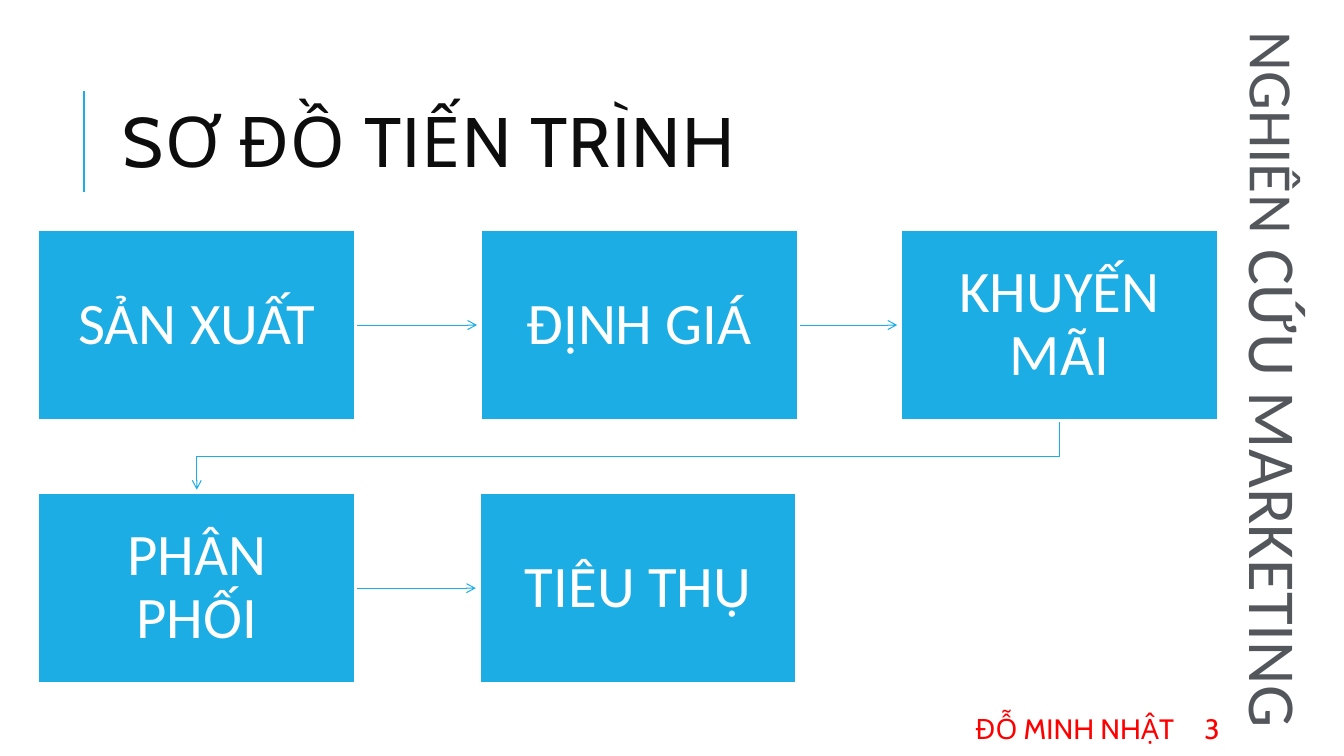
from dataclasses import dataclass
from itertools import pairwise

from lxml.etree import SubElement as Sub
from pptx import Presentation as Deck
from pptx.dml.color import RGBColor as Rgb
from pptx.enum.shapes import MSO_CONNECTOR as Link, MSO_SHAPE as Shape
from pptx.enum.text import MSO_ANCHOR as Anchor, MSO_AUTO_SIZE as Fit, PP_ALIGN as Align
from pptx.oxml.ns import qn
from pptx.util import Cm, Pt


@dataclass(frozen=True)
class Theme:
    blue: Rgb = Rgb(0x1C, 0xAD, 0xE4)
    white: Rgb = Rgb(0xFF, 0xFF, 0xFF)
    black: Rgb = Rgb(0x0D, 0x0D, 0x0D)
    gray: Rgb = Rgb(0x53, 0x57, 0x5C)
    red: Rgb = Rgb(0xFF, 0, 0)
    head: str = "Cabin"
    body: str = "Calibri"
    title: float = 50
    step: float = 42
    side: float = 48
    lead: float = 44
    foot: float = 20


@dataclass(frozen=True)
class Step:
    text: str
    left: float
    top: float

    @property
    def right(self) -> float:
        return self.left + WIDE

    @property
    def mid(self) -> float:
        return self.left + WIDE / 2

    @property
    def low(self) -> float:
        return self.top + HIGH


@dataclass(frozen=True)
class Label:
    text: str
    left: float
    width: float
    align: Align


LOOK = Theme()
WIDE, HIGH = 7.98, 4.8
TOP, LOW = 5.79, 12.42
INSET = 0.84
ROWS = (
    (Step("SẢN XUẤT", 0.97, TOP), Step("ĐỊNH GIÁ", 12.12, TOP), Step("KHUYẾN MÃI", 22.71, TOP)),
    (Step("PHÂN PHỐI", 0.97, LOW), Step("TIÊU THỤ", 12.09, LOW)),
)
FOOT = (
    Label("ĐỖ MINH NHẬT", 13.46, 16.38, Align.RIGHT),
    Label("3", 30.1, 2.69, Align.LEFT),
)


def apply(item: object, form: dict) -> None:
    for key, val in form.items():
        setattr(item, key, val)


def write(para, text: str, name: str, size: float, tint: Rgb):
    run = para.add_run()
    run.text = text
    apply(run.font, {"name": name, "size": Pt(size)})
    run.font.color.rgb = tint
    return run


def stroke(item, width: float, arrow: bool) -> None:
    item.line.color.rgb = LOOK.blue
    item.line.width = Pt(width)
    if arrow:
        Sub(item.line._get_or_add_ln(), qn("a:tailEnd"), type="arrow")


def link(page, start: tuple, end: tuple, width: float = 0.75, arrow: bool = True) -> None:
    line = page.shapes.add_connector(Link.STRAIGHT, *map(Cm, start + end))
    stroke(line, width, arrow)
    Sub(line._element.spPr, qn("a:effectLst"))


def bend(page, last: Step, first: Step) -> None:
    turn = (last.low + first.top) / 2
    path = page.shapes.build_freeform(Cm(last.mid), Cm(last.low + 0.05))
    spots = ((last.mid, turn), (first.mid, turn), (first.mid, first.top - 0.08))
    path.add_line_segments([(Cm(x), Cm(y)) for x, y in spots], close=False)
    line = path.convert_to_shape()
    line.fill.background()
    line.shadow.inherit = False
    stroke(line, 0.75, True)


def draw(page, step: Step) -> None:
    box = page.shapes.add_shape(Shape.RECTANGLE, *map(Cm, (step.left, step.top, WIDE, HIGH)))
    box.shadow.inherit = False
    box.fill.solid()
    box.fill.fore_color.rgb = LOOK.blue
    box.line.color.rgb = LOOK.white
    box.line.width = Pt(1.25)
    edge = {f"margin_{side}": Cm(INSET) for side in ("left", "right", "top", "bottom")}
    apply(box.text_frame, {**edge, "word_wrap": True, "vertical_anchor": Anchor.MIDDLE})
    para = box.text_frame.paragraphs[0]
    apply(para, {"alignment": Align.CENTER, "line_spacing": 0.9})
    write(para, step.text, LOOK.body, LOOK.step, LOOK.white)


def head(page) -> None:
    title = page.shapes.title
    spot = {"left": 2.84, "top": 1.63, "width": 27, "height": 4.17}
    apply(title, {key: Cm(val) for key, val in spot.items()})
    apply(title.text_frame, {"word_wrap": True, "auto_size": Fit.NONE, "vertical_anchor": Anchor.MIDDLE})
    para = title.text_frame.paragraphs[0]
    apply(para, {"alignment": Align.LEFT, "line_spacing": 0.8})
    run = write(para, "SƠ ĐỒ TIẾN TRÌNH", LOOK.head, LOOK.title, LOOK.black)
    run.font._element.set("spc", "100")


def banner(page) -> None:
    box = page.shapes.add_textbox(*map(Cm, (22.66, 8.41, 19, 2.31)))
    box.rotation = 90
    apply(box.text_frame, {"word_wrap": False, "auto_size": Fit.SHAPE_TO_FIT_TEXT})
    para = box.text_frame.paragraphs[0]
    para.alignment = Align.CENTER
    write(para, "NGHIÊN", LOOK.body, LOOK.lead, LOOK.gray)
    write(para, " CỨU MARKETING", LOOK.body, LOOK.side, LOOK.gray)


def note(page, label: Label) -> None:
    box = page.shapes.add_textbox(*map(Cm, (label.left, 17.98, label.width, 0.76)))
    apply(box.text_frame, {"word_wrap": True, "vertical_anchor": Anchor.MIDDLE})
    para = box.text_frame.paragraphs[0]
    para.alignment = label.align
    write(para, label.text, LOOK.head, LOOK.foot, LOOK.red)


def main() -> None:
    deck = Deck()
    apply(deck, {"slide_width": Cm(33.87), "slide_height": Cm(19.05)})
    page = deck.slides.add_slide(deck.slide_layouts[5])
    link(page, (2.11, 4.83), (2.11, 2.29), 1.5, False)
    head(page)
    for row in ROWS:
        for step in row:
            draw(page, step)
        for one, two in pairwise(row):
            y = one.top + HIGH / 2
            link(page, (one.right + 0.05, y), (two.left - 0.1, y))
    for one, two in pairwise(ROWS):
        bend(page, one[-1], two[0])
    banner(page)
    for label in FOOT:
        note(page, label)
    deck.save("out.pptx")


if __name__ == "__main__":
    main()
